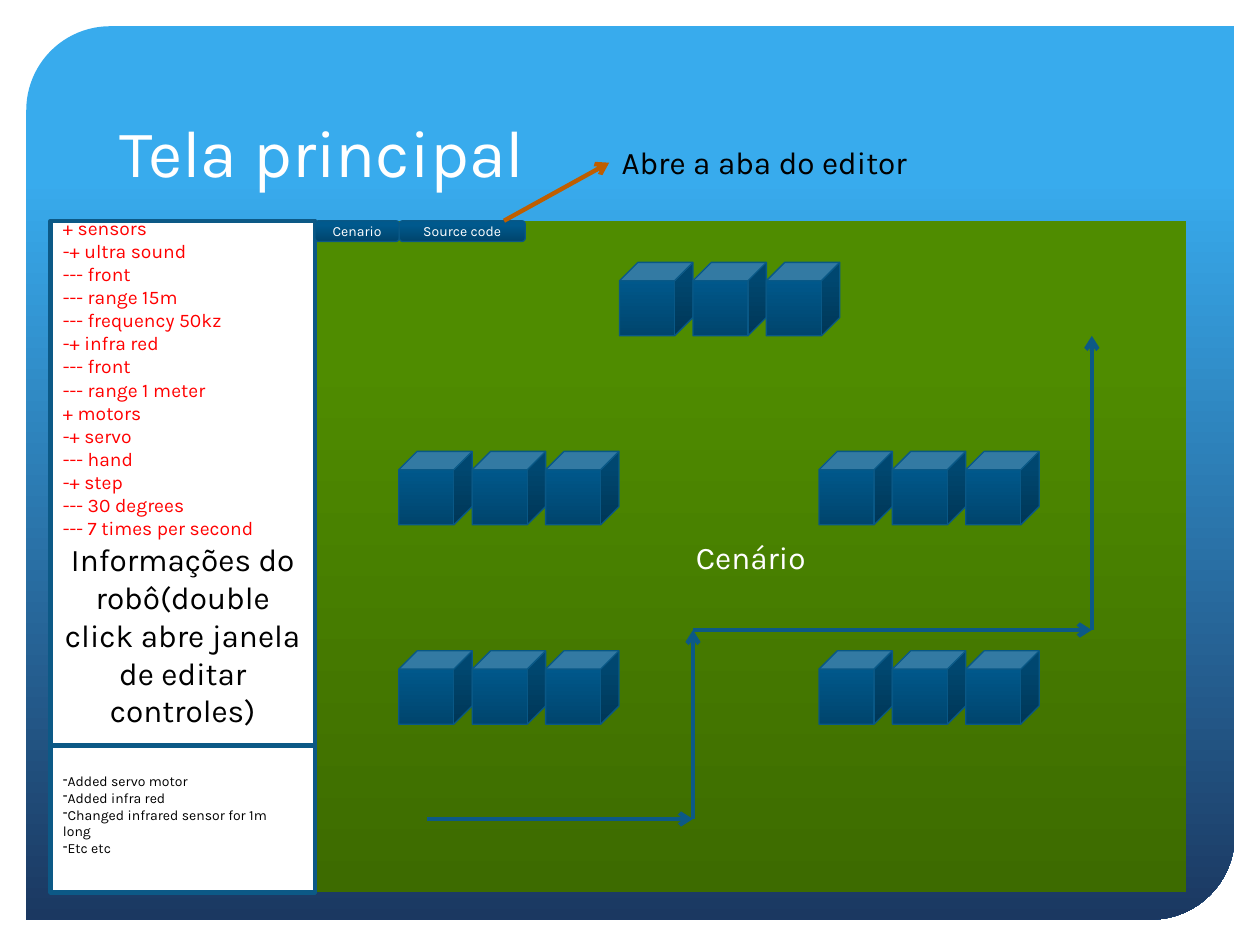
from lxml import etree
from pptx import Presentation
from pptx.dml.color import RGBColor
from pptx.enum.shapes import MSO_CONNECTOR, MSO_SHAPE
from pptx.enum.text import MSO_ANCHOR, MSO_AUTO_SIZE, PP_ALIGN
from pptx.oxml.ns import qn
from pptx.util import Cm, Pt

RECT = MSO_SHAPE.RECTANGLE
ROUNDED = MSO_SHAPE.ROUNDED_RECTANGLE
CUBE = MSO_SHAPE.CUBE
FRAME = MSO_SHAPE.ROUND_2_DIAG_RECTANGLE
STRAIGHT = MSO_CONNECTOR.STRAIGHT
LEFT, CENTER = PP_ALIGN.LEFT, PP_ALIGN.CENTER
MIDDLE, BOTTOM = MSO_ANCHOR.MIDDLE, MSO_ANCHOR.BOTTOM

FONT = "Karla"
WHITE = RGBColor(0xFF, 0xFF, 0xFF)
BLACK = RGBColor(0, 0, 0)
RED = RGBColor(0xFF, 0, 0)
ORANGE = RGBColor(0xBF, 0x5E, 0x00)
BLUE = RGBColor(0x0C, 0x59, 0x86)
BLUE_EDGE = RGBColor(0x09, 0x58, 0x86)
# Gradients: angle, then (position, colour) of both stops
SKY = (270, (0.17, RGBColor(0x38, 0xAB, 0xED)), (1, RGBColor(0x1B, 0x38, 0x61)))
GRASS = (90, (0, RGBColor(0x3D, 0x6B, 0x00)), (0.8, RGBColor(0x4F, 0x8C, 0x00)))
BLOCK = (90, (0, RGBColor(0x00, 0x45, 0x6D)), (0.8, RGBColor(0x00, 0x59, 0x8D)))

CUBE_SIZE = 1.48
CUBE_ROWS = [(8.04, 13.12), (8.04, 9.1), (16.51, 9.1), (16.51, 13.12), (12.49, 5.29)]
ROUTE = [(8.61, 16.51), (13.97, 16.51), (13.97, 12.7), (22.01, 12.7), (22.01, 6.77)]
ROBOT_PARTS = [
    "+ sensors", "-+ ultra sound", "--- front", "--- range 15m",
    "--- frequency 50kz", "-+ infra red", "--- front", "--- range 1 meter",
    "+ motors", "-+ servo", "--- hand", "-+ step", "--- 30 degrees",
    "--- 7 times per second",
]
CHANGES = ["Added servo motor", "Added infra red",
           "Changed infrared sensor for 1m long", "Etc etc"]


def write(shape, lines, size, color, align=LEFT):
    frame = shape.text_frame
    frame.text = "\n".join(lines)
    for paragraph in frame.paragraphs:
        paragraph.alignment = align
        paragraph.font.size = Pt(size)
        paragraph.font.name = FONT
        paragraph.font.color.rgb = color


def add_box(slide, kind, box, fill, line=None, width=0.75):
    """Add a shape with a plain colour or a gradient as its fill."""
    shape = slide.shapes.add_shape(kind, *map(Cm, box))
    shape.shadow.inherit = False
    if isinstance(fill, RGBColor):
        shape.fill.solid()
        shape.fill.fore_color.rgb = fill
    else:
        angle, *stops = fill
        shape.fill.gradient()
        shape.fill.gradient_angle = angle
        for stop, (position, color) in zip(shape.fill.gradient_stops, stops):
            stop.position = position
            stop.color.rgb = color
    if line is None:
        shape.line.fill.background()
    else:
        shape.line.color.rgb = line
        shape.line.width = Pt(width)
    return shape


def add_label(slide, box, lines, size, color, wrap=True):
    label = slide.shapes.add_textbox(*map(Cm, box))
    label.text_frame.word_wrap = wrap
    write(label, lines, size, color)
    return label


def add_dashes(label):
    for paragraph in label.text_frame.paragraphs:
        properties = paragraph._p.get_or_add_pPr()
        properties.set("marL", "0")
        properties.set("indent", "0")
        etree.SubElement(properties, qn("a:buChar")).set("char", "-")


def add_arrow(slide, start, end, color):
    arrow = slide.shapes.add_connector(STRAIGHT, *map(Cm, (*start, *end)))
    arrow.line.color.rgb = color
    arrow.line.width = Pt(2.5)
    etree.SubElement(arrow.line._get_or_add_ln(), qn("a:tailEnd")).set("type", "arrow")
    etree.SubElement(arrow.element.spPr, qn("a:effectLst"))


def add_title(slide, text):
    title = slide.shapes.title
    title.left, title.top, title.width, title.height = map(Cm, (2.16, 1.07, 21.06, 2.9))
    title.text_frame.auto_size = MSO_AUTO_SIZE.NONE
    title.text_frame.vertical_anchor = BOTTOM
    write(title, [text], 38, WHITE)
    return title


def add_tab(slide, left, width, text):
    tab = add_box(slide, ROUNDED, (left, 4.45, width, 0.42), BLOCK, BLUE_EDGE)
    tab.text_frame.vertical_anchor = MIDDLE
    write(tab, [text], 8, WHITE, CENTER)


def main():
    prs = Presentation()
    prs.slide_width, prs.slide_height = Cm(25.4), Cm(19.05)
    slide = prs.slides.add_slide(prs.slide_layouts[5])

    # Backdrop, placed behind the title
    title = add_title(slide, "Tela principal")
    backdrop = add_box(slide, FRAME, (0.53, 0.53, 24.36, 18.01), SKY)
    backdrop.adjustments[0] = 0.094
    title.element.addprevious(backdrop.element)

    # Scenario field and side panels
    field = add_box(slide, RECT, (6.35, 4.45, 17.57, 13.54), GRASS)
    field.text_frame.vertical_anchor = MIDDLE
    write(field, ["Cenário"], 18, WHITE, CENTER)
    robot_panel = add_box(slide, RECT, (1.02, 4.45, 5.33, 10.58), WHITE, BLUE, 2.5)
    robot_panel.text_frame.vertical_anchor = BOTTOM
    robot_panel.text_frame.margin_bottom = Cm(0.33)
    write(robot_panel,
          ["Informações do robô(double click abre janela de editar controles)"],
          18, BLACK, CENTER)
    add_box(slide, RECT, (1.02, 15.03, 5.33, 2.96), WHITE, BLUE, 2.5)

    # Obstacles, three cubes to a row
    for left, top in CUBE_ROWS:
        for i in range(3):
            add_box(slide, CUBE, (left + i * CUBE_SIZE, top, CUBE_SIZE, CUBE_SIZE),
                    BLOCK, BLUE_EDGE)

    # Route of the robot
    for start, end in zip(ROUTE, ROUTE[1:]):
        add_arrow(slide, start, end, BLUE)

    # Robot parts, tabs and change log
    add_label(slide, (1.02, 4.23, 4.52, 6.83), ROBOT_PARTS, 11, RED, wrap=False)
    add_tab(slide, 6.35, 1.7, "Cenario")
    add_tab(slide, 8.05, 2.54, "Source code")
    add_arrow(slide, (10.16, 4.45), (12.28, 3.28), ORANGE)
    add_label(slide, (12.28, 2.75, 9.31, 1.03), ["Abre a aba do editor"], 18, BLACK)
    add_dashes(add_label(slide, (1.02, 15.45, 4.93, 1.95), CHANGES, 8, BLACK))

    prs.save("out.pptx")


if __name__ == "__main__":
    main()
